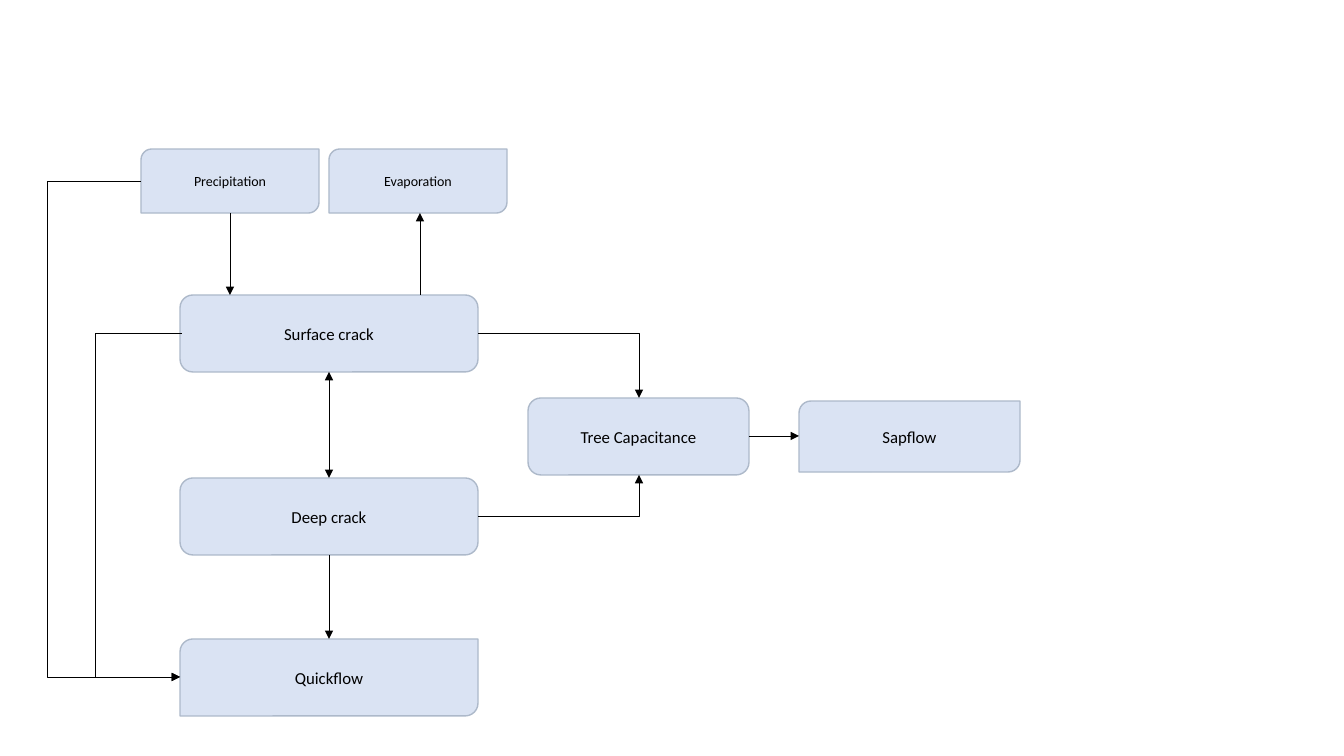
import pptx
import pptx.util
import pptx.dml.color
import pptx.enum.shapes
import pptx.enum.text
import pptx.oxml.ns
from dataclasses import dataclass
from lxml import etree

SHAPE = pptx.enum.shapes.MSO_SHAPE
LINK = pptx.enum.shapes.MSO_CONNECTOR
SCALE = 914400 / 100.8


@dataclass
class Theme:
    """Colours, font and sizes of the slide."""
    fill: str = "DAE3F3"
    edge: str = "ADB9CA"
    ink: str = "000000"
    font: str = "Calibri"
    size: int = 12
    small: int = 10
    rim: float = 1
    wire: float = 0.5


def emu(*pixels):
    """Turn pixels into EMU."""
    return [round(p * SCALE) for p in pixels]


def color(code):
    """Turn a hex code into a colour."""
    return pptx.dml.color.RGBColor.from_string(code)


def node(parent, tag, **attrs):
    """Add a drawing element to an XML parent."""
    return etree.SubElement(parent, pptx.oxml.ns.qn(tag), attrs)


def write(frame, text, font, size, ink):
    """Put one centred line of text in a frame."""
    frame.word_wrap = True
    frame.vertical_anchor = pptx.enum.text.MSO_ANCHOR.MIDDLE
    para = frame.paragraphs[0]
    para.alignment = pptx.enum.text.PP_ALIGN.CENTER
    run = para.add_run()
    run.text = text
    run.font.name = font
    run.font.size = pptx.util.Pt(size)
    run.font.color.rgb = color(ink)


class Chart:
    """Draws flow chart parts on a slide in one style."""

    def __init__(self, slide, theme):
        """Keep the slide and the style."""
        self.shapes, self.theme = slide.shapes, theme

    def box(self, kind, text, left, top, width, height, size=None):
        """Add a filled box with a label."""
        look = self.theme
        box = self.shapes.add_shape(kind, *emu(left, top, width, height))
        box.shadow.inherit = False
        box.fill.solid()
        box.fill.fore_color.rgb = color(look.fill)
        box.line.color.rgb = color(look.edge)
        box.line.width = pptx.util.Pt(look.rim)
        write(box.text_frame, text, font=look.font,
              size=size or look.size, ink=look.ink)

    def store(self, text, *place):
        """Add a rounded box for a water store."""
        self.box(SHAPE.ROUNDED_RECTANGLE, text, *place)

    def flux(self, text, *place, size=None):
        """Add a box with two round corners for a flow in or out."""
        self.box(SHAPE.ROUND_2_DIAG_RECTANGLE, text, *place, size=size)

    def arrow(self, start, end, kind=LINK.STRAIGHT, both=False):
        """Add an arrow from start to end."""
        line = self.shapes.add_connector(kind, *emu(*start, *end))
        line.line.color.rgb = color(self.theme.ink)
        line.line.width = pptx.util.Pt(self.theme.wire)
        pen = line.line._get_or_add_ln()
        if both:
            node(pen, "a:headEnd", type="triangle")
        node(pen, "a:tailEnd", type="triangle")
        node(line._element.spPr, "a:effectLst")
        return line._element.spPr.find(pptx.oxml.ns.qn("a:prstGeom"))

    def corner(self, start, end):
        """Add an arrow that runs sideways, then turns once."""
        self.arrow(start, end, LINK.ELBOW).set("prst", "bentConnector2")

    def detour(self, start, end, via):
        """Add an arrow that goes round by the column at via."""
        shape = self.arrow(start, end, LINK.ELBOW)
        for old in list(shape):
            shape.remove(old)
        ratio = round(100000 * (via - start[0]) / (end[0] - start[0]))
        node(node(shape, "a:avLst"), "a:gd", name="adj1", fmla=f"val {ratio}")


def main():
    """Build the water flow slide."""
    deck = pptx.Presentation()
    deck.slide_width, deck.slide_height = emu(1344, 756)
    theme = Theme()
    chart = Chart(deck.slides.add_slide(deck.slide_layouts[6]), theme)

    left, width, height = 180, 298, 77
    right, mid = left + width, left + width // 2
    surface, deep, quick = 295, 478, 639
    tree, sky, base = 398, 149, 213
    half = height // 2

    chart.store("Surface crack", left, surface, width, height)
    chart.store("Deep crack", left, deep, width, height)
    chart.store("Tree Capacitance", 528, tree, 221, height)
    for text, x in (("Precipitation", 141), ("Evaporation", 329)):
        chart.flux(text, x, sky, 178, base - sky, size=theme.small)
    chart.flux("Quickflow", left, quick, width, height)
    chart.flux("Sapflow", 799, 401, 221, 71)

    chart.arrow((230, base), (230, surface))
    chart.arrow((420, surface), (420, base))
    chart.arrow((mid, surface + height), (mid, deep), both=True)
    chart.arrow((mid, deep + height), (mid, quick))
    chart.arrow((749, tree + half), (799, tree + half))
    chart.corner((right, surface + half), (639, tree))
    chart.corner((right, deep + half), (639, tree + height))
    goal = (left, quick + half)
    chart.detour((141, (sky + base) // 2), goal, via=47)
    chart.detour((182, surface + half), goal, via=95)
    deck.save("out.pptx")


main()
